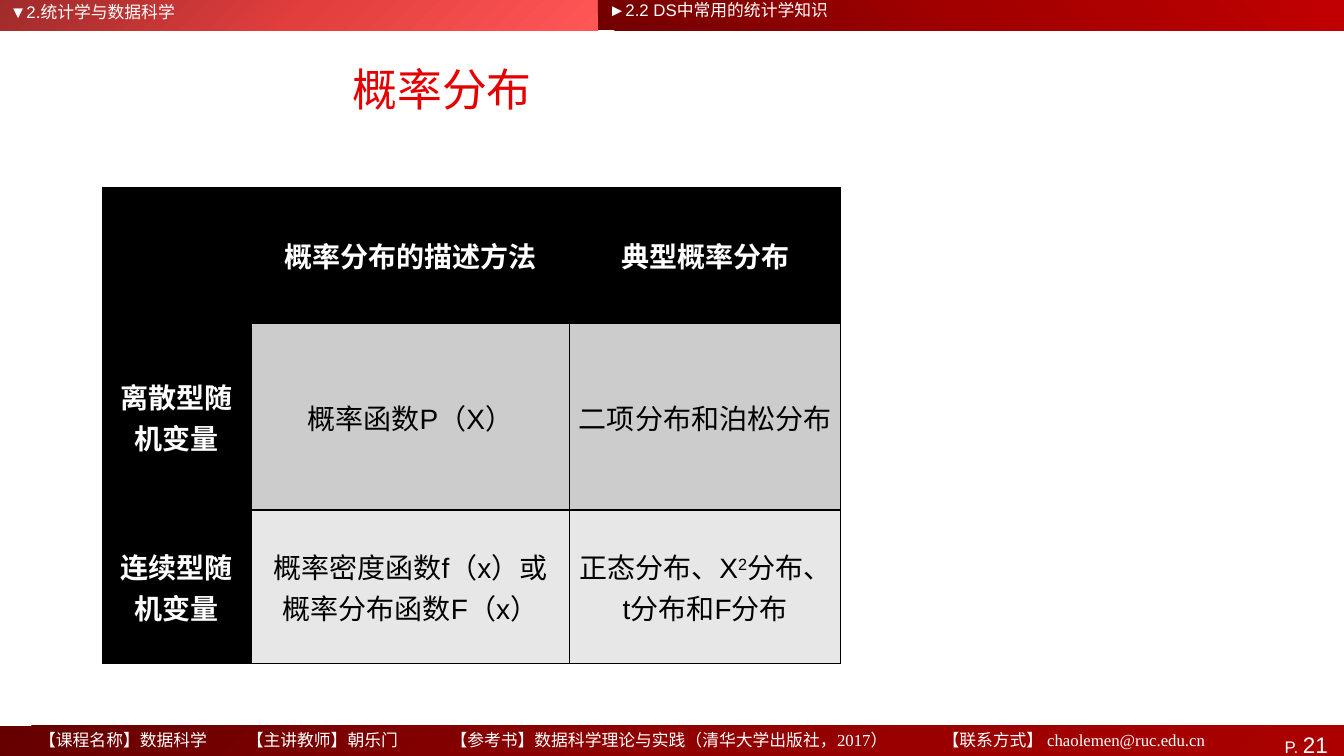
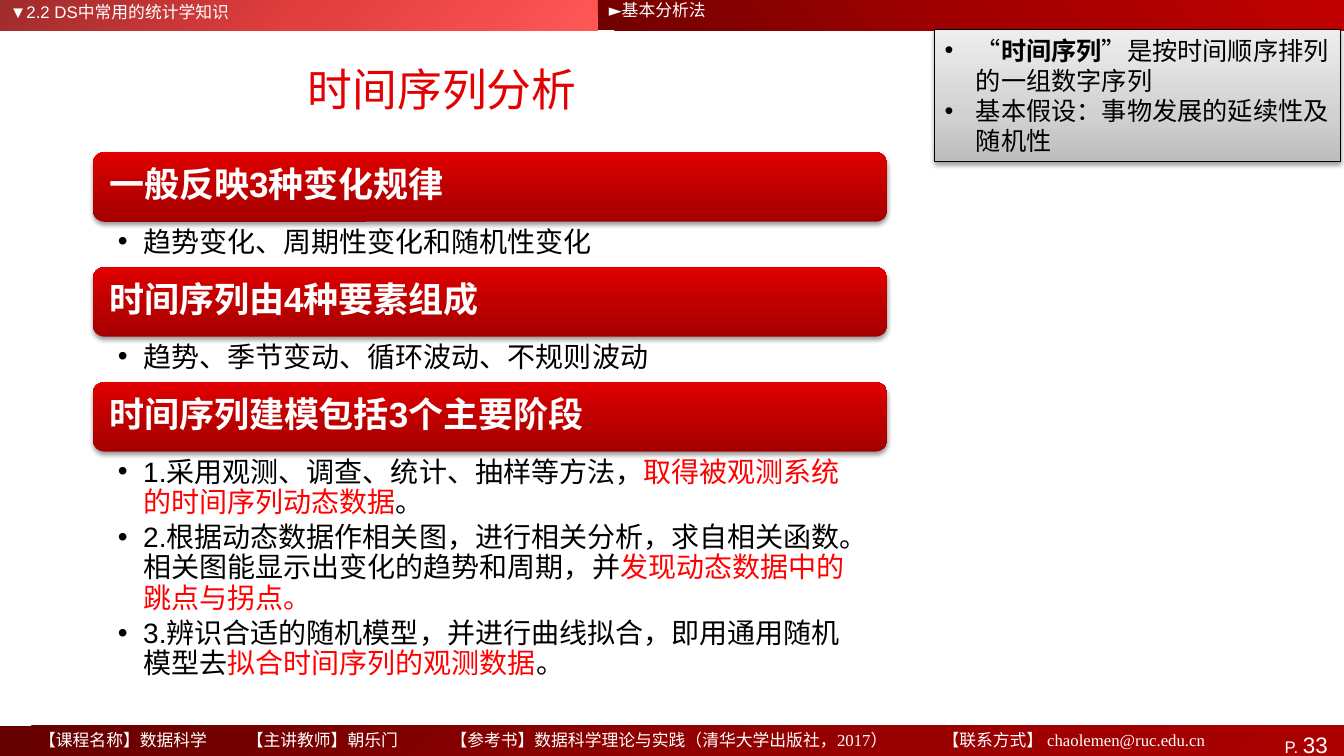
import pptx
import pptx.dml.color
import pptx.enum.shapes
import pptx.enum.text
import pptx.oxml
import pptx.oxml.ns
import pptx.util
import lxml.etree

Inches = pptx.util.Inches
Pt = pptx.util.Pt
qn = pptx.oxml.ns.qn
ALIGN = pptx.enum.text.PP_ALIGN
ANCHOR = pptx.enum.text.MSO_ANCHOR
SHAPE = pptx.enum.shapes.MSO_SHAPE

COLORS = {
    "white": "FFFFFF",
    "black": "000000",
    "title": "E40000",
    "accent": "FF0000",
    "row_dark": "CCCCCC",
    "row_light": "E7E7E7",
}
GRADIENTS = {
    "chapter": ([(0, "9F2B2B"), (50, "E23E3E"), (100, "FF5656")], 45),
    "section": ([(0, "720000"), (50, "A20000"), (100, "C00000")], 315),
    "footer": ([(0, "650000"), (50, "900000"), (100, "AB0000")], 45),
    "heading": ([(0, "A50000"), (55, "C20000"), (100, "E20000")], 270),
    "callout": ([(0, "BDBDBD"), (35, "D1D1D1"), (100, "EEEEEE")], 270),
}
LATIN = "Arial"
CHINESE = "Noto Sans CJK SC"
FOOTER_TEXT = (
    "【课程名称】数据科学\t【主讲教师】朝乐门\t"
    "【参考书】数据科学理论与实践（清华大学出版社，2017）\t"
    "【联系方式】 chaolemen@ruc.edu.cn"
)
FOOTER_TABS = [2.06, 4.08, 8.96]


def rgb(name):
    return pptx.dml.color.RGBColor.from_string(COLORS[name])


def add_child(parent, tag, **attributes):
    return lxml.etree.SubElement(parent, qn(tag), attributes)


def format_run(run, size, color="black", bold=False, font=LATIN):
    run.font.size = Pt(size)
    run.font.bold = bold
    run.font.name = font
    run.font.color.rgb = rgb(color)
    add_child(run.font._element, "a:ea", typeface=CHINESE)


def format_para(para, size, color="black", bold=False, font=LATIN, align=ALIGN.LEFT):
    para.alignment = align
    for run in para.runs:
        format_run(run, size, color, bold, font)


def set_frame(frame, insets, anchor=ANCHOR.TOP):
    frame.word_wrap = True
    frame.vertical_anchor = anchor
    frame.margin_left, frame.margin_top, frame.margin_right, frame.margin_bottom = map(Inches, insets)


def add_text(page, place, text, size, color, insets=(0.1, 0.05, 0.1, 0.05),
             anchor=ANCHOR.TOP, align=ALIGN.LEFT, font=LATIN):
    box = page.shapes.add_textbox(*map(Inches, place))
    set_frame(box.text_frame, insets, anchor)
    box.text_frame.text = text
    para = box.text_frame.paragraphs[0]
    format_para(para, size, color, font=font, align=align)
    return para


def add_panel(page, place, gradient, kind=SHAPE.RECTANGLE, blur=0):
    panel = page.shapes.add_shape(kind, *map(Inches, place))
    stops, angle = GRADIENTS[gradient]
    panel.fill.gradient()
    panel.fill.gradient_angle = (360 - angle) % 360
    stop_list = panel._element.spPr.find(".//" + qn("a:gsLst"))
    for stop in list(stop_list):
        stop_list.remove(stop)
    for position, color in stops:
        stop = add_child(stop_list, "a:gs", pos=str(position * 1000))
        add_child(stop, "a:srgbClr", val=color)
    panel.line.fill.background()
    panel.shadow.inherit = False
    if blur:
        effects = panel._element.spPr.find(qn("a:effectLst"))
        shadow = add_child(effects, "a:outerShdw", blurRad=str(Pt(blur)), dist=str(Pt(2)),
                           dir="5400000", rotWithShape="0")
        color = add_child(shadow, "a:srgbClr", val=COLORS["black"])
        add_child(color, "a:alpha", val="38000")
    return panel


def add_bullets(frame, items, size, indent, line_height, gap=0):
    for index, spans in enumerate(items):
        para = frame.paragraphs[0] if index == 0 else frame.add_paragraph()
        props = para._p.get_or_add_pPr()
        props.set("marL", str(Inches(indent)))
        props.set("indent", str(-Inches(indent)))
        add_child(props, "a:buFont", typeface=LATIN)
        add_child(props, "a:buChar", char="•")
        para.alignment = ALIGN.LEFT
        para.line_spacing = Pt(line_height)
        para.space_after = Pt(gap)
        for text, color, bold in spans:
            run = para.add_run()
            run.text = text
            format_run(run, size, color, bold)


def add_page(deck, chapter, section, title, number):
    page = deck.slides.add_slide(deck.slide_layouts[6])
    add_panel(page, (0, 0, 5.93, 0.3), "chapter")
    footer = add_panel(page, (0, 7.2, 13.33, 0.3), "footer")
    add_panel(page, (5.93, 0, 7.4, 0.3), "section")
    set_frame(footer.text_frame, (0.1, 0.05, 0.16, 0))
    para = footer.text_frame.paragraphs[0]
    para.alignment = ALIGN.RIGHT
    for text, size in (("P. ", 12), (str(number), 16)):
        run = para.add_run()
        run.text = text
        format_run(run, size, "white")

    para = add_text(page, (0.29, 7.2, 12.26, 0.3), FOOTER_TEXT, 12, "white",
                    insets=(0.1, 0.04, 0.1, 0), font="Times New Roman")
    tabs = add_child(para._p.get_or_add_pPr(), "a:tabLst")
    for position in FOOTER_TABS:
        add_child(tabs, "a:tab", pos=str(Inches(position)), algn="l")

    add_text(page, (0.44, 0.43, 7.89, 0.9), title, 32, "title",
             anchor=ANCHOR.MIDDLE, align=ALIGN.CENTER, font=CHINESE)
    add_text(page, (0, 0, 4.83, 0.29), chapter, 12, "white", insets=(0.1, 0.02, 0.1, 0))
    add_text(page, (5.94, 0, 3.72, 0.29), section, 12, "white", insets=(0.1, 0, 0.1, 0))
    return page


def style_cell(cell, fill):
    props = cell._tc.get_or_add_tcPr()
    for side in ("a:lnL", "a:lnR", "a:lnT", "a:lnB"):
        border = add_child(props, side, w=str(Pt(1)))
        paint = add_child(border, "a:solidFill")
        add_child(paint, "a:srgbClr", val=COLORS["black"])
    cell.fill.solid()
    cell.fill.fore_color.rgb = rgb(fill)
    cell.vertical_anchor = ANCHOR.MIDDLE
    cell.margin_left = cell.margin_right = Inches(0.07)
    cell.margin_top = cell.margin_bottom = 0


def add_distribution_table(page):
    rows = [
        ["", "概率分布的描述方法", "典型概率分布"],
        ["离散型随机变量", "概率函数P（X）", "二项分布和泊松分布"],
        ["连续型随机变量", "概率密度函数f（x）或\n概率分布函数F（x）", ""],
    ]
    fills = ["black", "row_dark", "row_light"]
    table = page.shapes.add_table(3, 3, *map(Inches, (1.02, 1.86, 7.32, 4.72))).table
    for column, width in zip(table.columns, (1.47, 3.16, 2.69)):
        column.width = Inches(width)
    for row, height in zip(table.rows, (1.35, 1.85, 1.52)):
        row.height = Inches(height)
    for r, texts in enumerate(rows):
        for c, text in enumerate(texts):
            cell = table.cell(r, c)
            header = r == 0 or c == 0
            style_cell(cell, "black" if header else fills[r])
            cell.text_frame.text = text
            for para in cell.text_frame.paragraphs:
                format_para(para, 20, "white" if header else "black", header, align=ALIGN.CENTER)

    para = table.cell(2, 2).text_frame.paragraphs[0]
    for text, raised in (("正态分布、X", False), ("2", True), ("分布、t分布和F分布", False)):
        run = para.add_run()
        run.text = text
        format_run(run, 20)
        if raised:
            run.font._element.set("baseline", "30000")


def add_topic(page, top, heading, items, height):
    bar = add_panel(page, (0.92, top, 7.88, 0.69), "heading", SHAPE.ROUNDED_RECTANGLE, blur=3.1)
    set_frame(bar.text_frame, (0.13, 0, 0.13, 0.06), ANCHOR.MIDDLE)
    bar.text_frame.text = heading
    format_para(bar.text_frame.paragraphs[0], 25, "white", True)
    body = page.shapes.add_textbox(*map(Inches, (0.92, top + 0.69, 7.88, height)))
    set_frame(body.text_frame, (0.25, 0.06, 0.19, 0.03))
    add_bullets(body.text_frame, items, 20, 0.25, 21.5, 4)


def add_callout(page, items):
    callout = add_panel(page, (9.27, 0.29, 4.02, 1.31), "callout", blur=3.5)
    callout.line.color.rgb = rgb("black")
    callout.line.width = Pt(0.5)
    set_frame(callout.text_frame, (0.1, 0.06, 0.1, 0.05))
    add_bullets(callout.text_frame, items, 18, 0.31, 21.5)


def plain(text):
    return text, "black", False


def accent(text):
    return text, "accent", False


def main():
    deck = pptx.Presentation()
    deck.slide_width = Inches(13.33)
    deck.slide_height = Inches(7.5)

    page = add_page(deck, "▼2.统计学与数据科学", "►2.2 DS中常用的统计学知识", "概率分布", 21)
    add_distribution_table(page)

    page = add_page(deck, "▼2.2 DS中常用的统计学知识", "►基本分析法", "时间序列分析", 33)
    topics = [
        ("一般反映3种变化规律", [[plain("趋势变化、周期性变化和随机性变化")]], 0.45),
        ("时间序列由4种要素组成", [[plain("趋势、季节变动、循环波动、不规则波动")]], 0.45),
        ("时间序列建模包括3个主要阶段", [
            [plain("1.采用观测、调查、统计、抽样等方法，"),
             accent("取得被观测系统的时间序列动态数据"), plain("。")],
            [plain("2.根据动态数据作相关图，进行相关分析，求自相关函数。"
                   "相关图能显示出变化的趋势和周期，并"),
             accent("发现动态数据中的跳点与拐点。")],
            [plain("3.辨识合适的随机模型，并进行曲线拟合，即用通用随机模型去"),
             accent("拟合时间序列的观测数据"), plain("。")],
        ], 2.49),
    ]
    top = 1.51
    for heading, items, height in topics:
        add_topic(page, top, heading, items, height)
        top += 0.69 + height
    add_callout(page, [
        [plain("“"), ("时间序列", "black", True), plain("”是按时间顺序排列的一组数字序列")],
        [plain("基本假设：事物发展的延续性及随机性")],
    ])
    deck.save("out.pptx")


if __name__ == "__main__":
    main()
